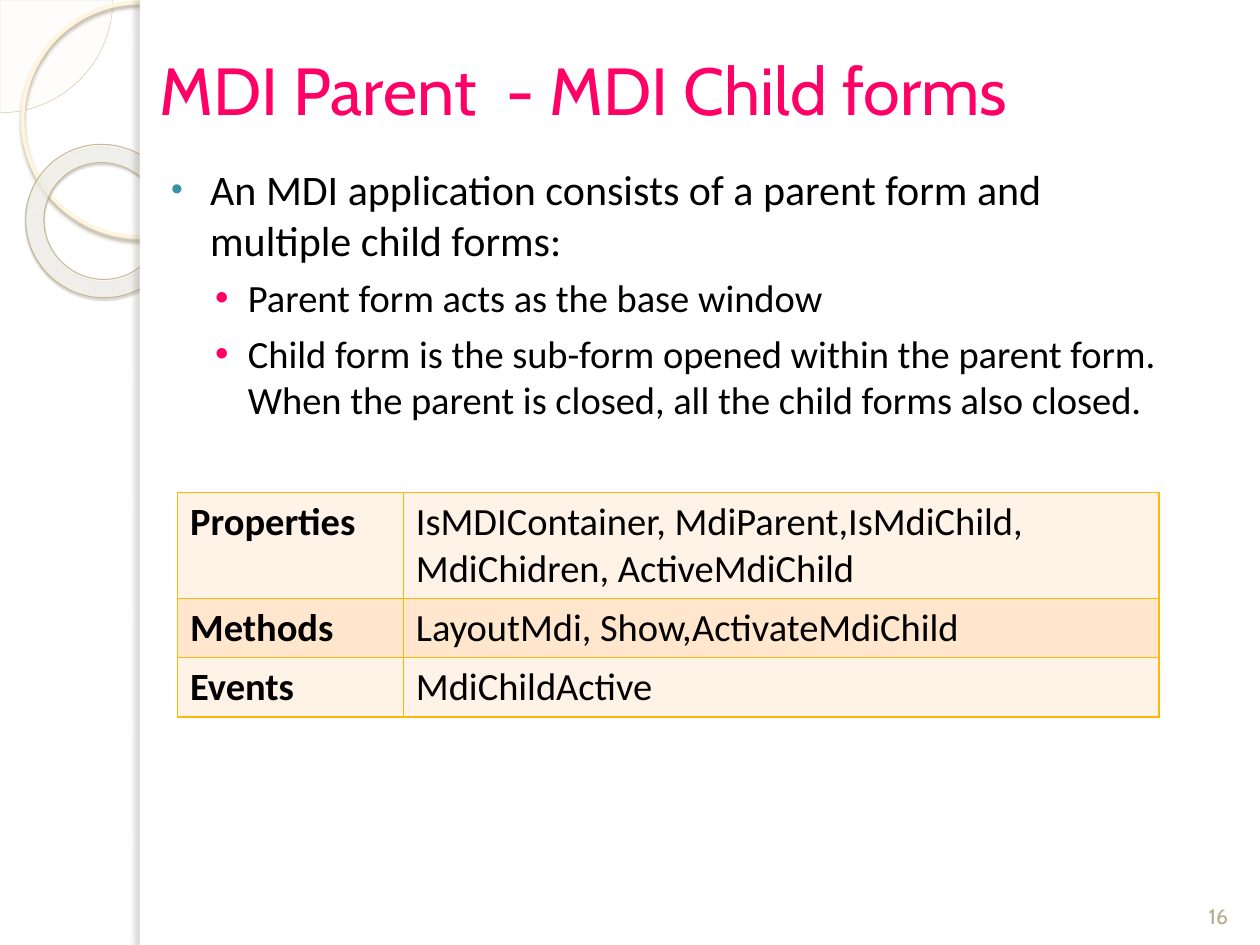
from lxml.etree import SubElement
from pptx import Presentation
from pptx.dml.color import RGBColor
from pptx.enum.shapes import MSO_SHAPE
from pptx.enum.text import MSO_ANCHOR, PP_ALIGN
from pptx.oxml.ns import qn
from pptx.util import Inches, Pt

# The slide is a grid of 100 columns by 75 rows
COLUMNS, ROWS = 100, 75
UNIT = Inches(0.1)
PINK, BLACK, WHITE, GOLD = "FF0066", "000000", "FFFFFF", "FEB80A"


def color(value):
    return RGBColor.from_string(value)


def cells(*lengths):
    """Turn grid lengths into slide lengths."""
    return [round(length * UNIT) for length in lengths]


def add_xml(parent, tag, **attributes):
    return SubElement(parent, qn(tag), {name: str(value) for name, value in attributes.items()})


def add_color(parent, value, opacity=100):
    element = add_xml(parent, "a:srgbClr", val=value)
    if opacity < 100:
        add_xml(element, "a:alpha", val=opacity * 1000)


def add_shadow(shape, value, opacity, blur, distance, direction):
    effects = shape._element.spPr.find(qn("a:effectLst"))
    shadow = add_xml(effects, "a:outerShdw", blurRad=Pt(blur), dist=Pt(distance),
                     dir=direction * 60000, algn="tl", rotWithShape=0)
    add_color(shadow, value, opacity)


def add_plain_shape(slide, kind, box, fill=None, line=None, width=1):
    shape = slide.shapes.add_shape(kind, *cells(*box))
    shape.shadow.inherit = False
    if fill:
        shape.fill.solid()
        shape.fill.fore_color.rgb = color(fill)
    else:
        shape.fill.background()
    if line:
        shape.line.color.rgb = color(line)
        shape.line.width = Pt(width)
    else:
        shape.line.fill.background()
    return shape


def fill_with_glow(shape, stops):
    """Give a shape a radial gradient with partly transparent stops."""
    properties = shape._element.spPr
    gradient = add_xml(properties, "a:gradFill", rotWithShape=1)
    stop_list = add_xml(gradient, "a:gsLst")
    for position, value, opacity in stops:
        add_color(add_xml(stop_list, "a:gs", pos=position * 1000), value, opacity)
    path = add_xml(gradient, "a:path", path="circle")
    add_xml(path, "a:fillToRect", l=-408000, t=-50000, r=508000, b=150000)
    properties.replace(properties.find(qn("a:noFill")), gradient)


def style_runs(paragraph, size, value, font="Calibri", bold=False):
    for run in paragraph.runs:
        run.font.size = Pt(size)
        run.font.name = font
        run.font.bold = bold
        run.font.color.rgb = color(value)


def add_text_box(slide, box, anchor=MSO_ANCHOR.TOP):
    text_frame = slide.shapes.add_textbox(*cells(*box)).text_frame
    text_frame.word_wrap = True
    text_frame.vertical_anchor = anchor
    return text_frame


def add_line_of_text(slide, box, text, size, value, anchor, alignment):
    text_frame = add_text_box(slide, box, anchor)
    text_frame.text = text
    paragraph = text_frame.paragraphs[0]
    paragraph.alignment = alignment
    style_runs(paragraph, size, value, "Cabin")


def add_side_panel(slide, box):
    left, top, width, height = box
    # Quarter disc centred on the panel's corner
    radius = 8.95
    pie = add_plain_shape(slide, MSO_SHAPE.PIE,
                          (left - radius, top - radius, 2 * radius, 2 * radius),
                          "FEFAF4", "D3C39F", 0.25)
    pie.adjustments[0], pie.adjustments[1] = 0, 54.02
    add_color_fill = pie._element.spPr.find(qn("a:solidFill"))[0]
    add_xml(add_color_fill, "a:alpha", val=33000)

    # Large ring
    ring = add_plain_shape(slide, MSO_SHAPE.OVAL, (left + 1.8, top + 0.2, 18.6, 18.6),
                           line="FFF5DE", width=2.15)
    add_shadow(ring, "B0A68F", 85, 2, 2, 90)

    # Small tilted donut
    donut = add_plain_shape(slide, MSO_SHAPE.DONUT, (left + 2, top + 11.5, 12.3, 12.1),
                            line="C7B893", width=0.58)
    donut.adjustments[0] = 0.12
    donut.rotation = 38.6
    fill_with_glow(donut, [(0, "FFFCF6", 70), (70, "FFFEFB", 55), (100, "F0D28E", 60)])
    add_shadow(donut, "5A5444", 35, 1, 1.2, 75)

    # White page covering the ornaments, with a shaded edge
    edge = left + width
    add_plain_shape(slide, MSO_SHAPE.RECTANGLE, (edge, top, COLUMNS - edge, height), WHITE)
    strip = add_plain_shape(slide, MSO_SHAPE.RECTANGLE, (edge, top, 0.8, height), WHITE)
    add_shadow(strip, "736F63", 25, 3, 3, 180)


def add_bullets(slide, box, items):
    # Level: size, space before, left margin, indent, bullet colour, bullet percent
    levels = [(24, 6, 4, -3.1, "3891A7", 80), (22, 5.5, 7, -2.6, PINK, 100)]
    text_frame = add_text_box(slide, box)
    for index, (level, text) in enumerate(items):
        size, space, margin, indent, bullet, percent = levels[level]
        paragraph = text_frame.add_paragraph() if index else text_frame.paragraphs[0]
        paragraph.text = text
        paragraph.level = level
        paragraph.space_before = Pt(space)
        style_runs(paragraph, size, BLACK)
        properties = paragraph._p.get_or_add_pPr()
        for name, length in zip(("marL", "indent"), cells(margin, indent)):
            properties.set(name, str(length))
        add_color(add_xml(properties, "a:buClr"), bullet)
        add_xml(properties, "a:buSzPct", val=percent * 1000)
        add_xml(properties, "a:buFont", typeface="Arial")
        add_xml(properties, "a:buChar", char="•")


def add_borders(cell, value, width):
    properties = cell._tc.get_or_add_tcPr()
    for side in "LRTB":
        border = add_xml(properties, f"a:ln{side}", w=Pt(width))
        add_color(add_xml(border, "a:solidFill"), value)


def add_member_table(slide, box, rows):
    width = box[2]
    table = slide.shapes.add_table(len(rows), 2, *cells(*box)).table
    table.first_row = table.horz_banding = False
    heading_width = 0.23 * width
    for column, share in zip(table.columns, cells(heading_width, width - heading_width)):
        column.width = share
    for row_index, row in enumerate(rows):
        # One line of text is 3.7 rows high, the margins add one
        lines = row[1].count("\n") + 1
        table.rows[row_index].height = cells(3.7 * lines + 1)[0]
        for column_index, text in enumerate(row):
            cell = table.cell(row_index, column_index)
            cell.text_frame.text = text
            for paragraph in cell.text_frame.paragraphs:
                style_runs(paragraph, 22, BLACK, bold=column_index == 0)
            add_borders(cell, GOLD, 1)
            cell.fill.solid()
            cell.fill.fore_color.rgb = color("FFE6CC" if row_index % 2 else "FFF3E7")


def main():
    presentation = Presentation()
    presentation.slide_width, presentation.slide_height = COLUMNS * UNIT, ROWS * UNIT
    slide = presentation.slides.add_slide(presentation.slide_layouts[6])

    add_side_panel(slide, (0, 0, 11.1, ROWS))
    add_line_of_text(slide, (11.7, 0.8, 85.2, 12.5), "MDI Parent  - MDI Child forms",
                     38, PINK, MSO_ANCHOR.MIDDLE, PP_ALIGN.LEFT)
    add_bullets(slide, (11.7, 12.5, 83.6, 55.8), [
        (0, "An MDI application consists of a parent form and multiple child forms:"),
        (1, "Parent form acts as the base window"),
        (1, "Child form is the sub-form opened within the parent form. "
            "When the parent is closed, all the child forms also closed."),
    ])
    add_line_of_text(slide, (94.2, 69, 5, 5.2), "16", 12, "B6A98A",
                     MSO_ANCHOR.BOTTOM, PP_ALIGN.CENTER)
    add_member_table(slide, (14.1, 39.1, 77.9, 17.7), [
        ("Properties", "IsMDIContainer, MdiParent,IsMdiChild,\nMdiChidren, ActiveMdiChild"),
        ("Methods", "LayoutMdi, Show,ActivateMdiChild"),
        ("Events", "MdiChildActive"),
    ])
    presentation.save("out.pptx")


if __name__ == "__main__":
    main()
